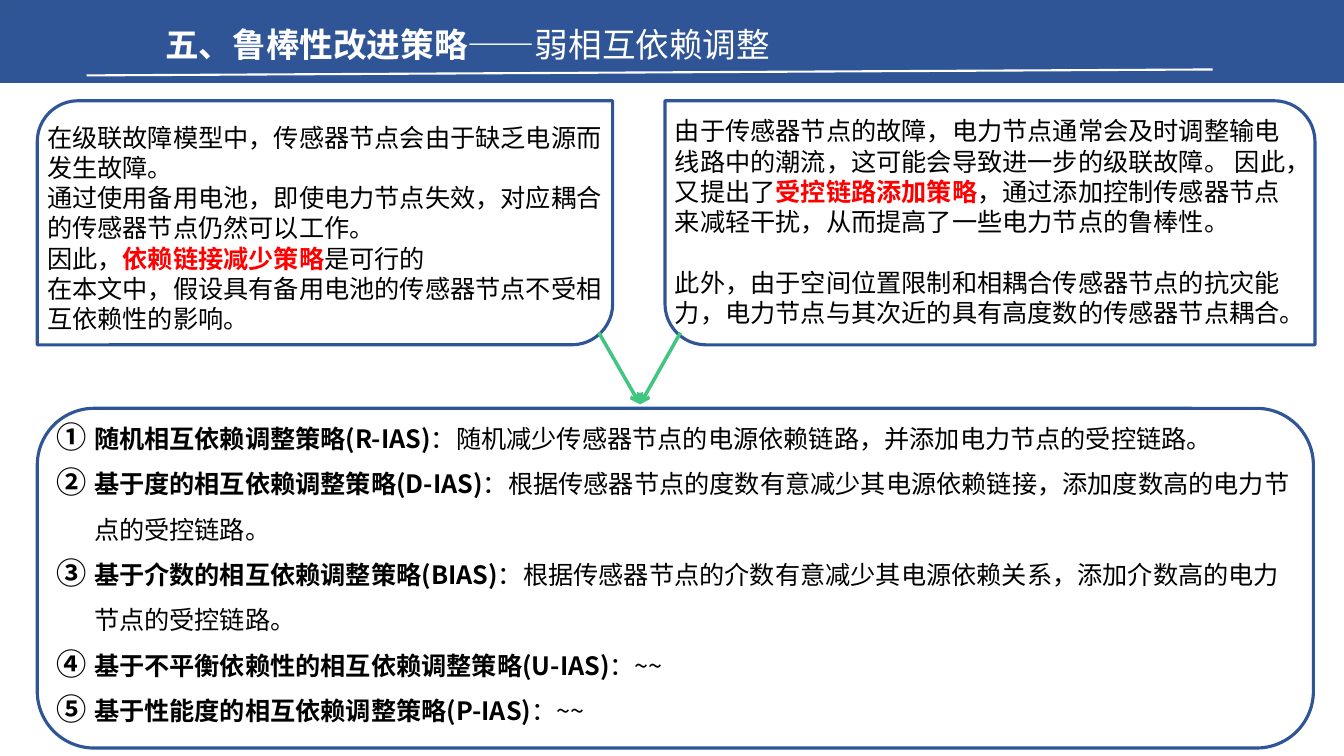
from lxml import etree
from pptx import Presentation
from pptx.dml.color import RGBColor
from pptx.enum.shapes import MSO_CONNECTOR, MSO_SHAPE
from pptx.enum.text import MSO_ANCHOR, PP_ALIGN
from pptx.oxml.ns import qn
from pptx.util import Cm, Pt

STRAIGHT = MSO_CONNECTOR.STRAIGHT
RECTANGLE = MSO_SHAPE.RECTANGLE
DIAGONAL = MSO_SHAPE.ROUND_2_DIAG_RECTANGLE
ROUNDED = MSO_SHAPE.ROUNDED_RECTANGLE
TOP = MSO_ANCHOR.TOP
LEFT = PP_ALIGN.LEFT

FONT = "Noto Sans CJK SC"
COLORS = {"navy": "2F5597", "edge": "325491", "white": "FFFFFF",
          "black": "000000", "red": "FF0000", "green": "40C680"}
PAGE_WIDTH, PAGE_HEIGHT = 33.87, 19.05

TITLE = [[("五、鲁棒性改进策略", "bold"), ("——弱相互依赖调整", "plain")]]
BATTERY = [
    [("在级联故障模型中，传感器节点会由于缺乏电源而发生故障。", "plain")],
    [("通过使用备用电池，即使电力节点失效，对应耦合的传感器节点仍然可以工作。", "plain")],
    [("因此，", "plain"), ("依赖链接减少策略", "key"), ("是可行的", "plain")],
    [("在本文中，假设具有备用电池的传感器节点不受相互依赖性的影响。", "plain")],
]
CONTROL = [
    [("由于传感器节点的故障，电力节点通常会及时调整输电线路中的潮流，这可能会导致进一步的级联故障。 因此，又提出了", "plain"),
     ("受控链路添加策略", "key"),
     ("，通过添加控制传感器节点来减轻干扰，从而提高了一些电力节点的鲁棒性。", "plain")],
    [("此外，由于空间位置限制和相耦合传感器节点的抗灾能力，电力节点与其次近的具有高度数的传感器节点耦合。", "plain")],
]
STRATEGIES = [
    ("随机相互依赖调整策略(R-IAS)", "：随机减少传感器节点的电源依赖链路，并添加电力节点的受控链路。"),
    ("基于度的相互依赖调整策略(D-IAS)", "：根据传感器节点的度数有意减少其电源依赖链接，添加度数高的电力节点的受控链路。"),
    ("基于介数的相互依赖调整策略(BIAS)", "：根据传感器节点的介数有意减少其电源依赖关系，添加介数高的电力节点的受控链路。"),
    ("基于不平衡依赖性的相互依赖调整策略(U-IAS)", "：~~"),
    ("基于性能度的相互依赖调整策略(P-IAS)", "：~~"),
]
STRATEGY_LINES = [[(name, "bold"), (detail, "plain")] for name, detail in STRATEGIES]

TEXTS = [
    ((0.94, 2.95, 14.78, 5.64), BATTERY, 0, False),
    ((16.76, 2.79, 15.9, 5.64), CONTROL, 21.6, False),
    ((1.17, 10.16, 31.93, 8.33), STRATEGY_LINES, 0, True),
]
PANELS = [
    (DIAGONAL, (0.94, 2.54, 14.5, 6.15), (0.167, 0)),
    (DIAGONAL, (16.76, 2.54, 16.38, 6.15), (0, 0.167)),
    (ROUNDED, (0.94, 10.29, 32.16, 8.56), (0.167,)),
]
ARROW_TIP = (16.13, 10.19)
ARROW_STARTS = [(15.09, 8.38), (17.15, 8.38)]


def rgb(name):
    return RGBColor.from_string(COLORS[name])


def number_paragraph(para):
    para.line_spacing = 1.5
    props = para._p.get_or_add_pPr()
    props.set("marL", str(Cm(0.95)))
    props.set("indent", str(-Cm(0.95)))
    etree.SubElement(props, qn("a:buSzPct"), val="120000")
    etree.SubElement(props, qn("a:buAutoNum"), type="circleNumDbPlain")


def write(frame, lines, size, color, gap=0, numbered=False):
    frame.word_wrap = True
    frame.vertical_anchor = TOP
    for index, line in enumerate(lines):
        para = frame.add_paragraph() if index else frame.paragraphs[0]
        para.alignment = LEFT
        if index and gap:
            para.space_before = Pt(gap)
        if numbered:
            number_paragraph(para)
        font = para.font
        font.size = Pt(size)
        font.color.rgb = rgb(color)
        font.name = FONT
        etree.SubElement(font._rPr, qn("a:ea"), typeface=FONT)
        for text, style in line:
            span = para.add_run()
            span.text = text
            span.font.bold = style != "plain"
            if style == "key":
                span.font.color.rgb = rgb("red")


def add_panel(page, kind, place, edge, width, fill=None):
    panel = page.shapes.add_shape(kind, *map(Cm, place))
    panel.shadow.inherit = False
    if fill:
        panel.fill.solid()
        panel.fill.fore_color.rgb = rgb(fill)
    else:
        panel.fill.background()
    panel.line.color.rgb = rgb(edge)
    panel.line.width = Pt(width)
    return panel


def add_line(page, start, end, color, width, arrow=False):
    line = page.shapes.add_connector(STRAIGHT, *map(Cm, start + end))
    line.line.color.rgb = rgb(color)
    line.line.width = Pt(width)
    if arrow:
        etree.SubElement(line.line._get_or_add_ln(), qn("a:tailEnd"), type="arrow")
    etree.SubElement(line._element.spPr, qn("a:effectLst"))


def main():
    deck = Presentation()
    deck.slide_width, deck.slide_height = Cm(PAGE_WIDTH), Cm(PAGE_HEIGHT)
    page = deck.slides.add_slide(deck.slide_layouts[5])

    add_panel(page, RECTANGLE, (0, 0, PAGE_WIDTH, 2.08), "edge", 1, "navy")
    title = page.shapes.title
    title.left, title.top, title.width, title.height = map(Cm, (3.91, 0.48, 21.29, 1.27))
    write(title.text_frame, TITLE, 24, "white")
    title._element.getparent().append(title._element)
    add_line(page, (2.18, 1.9), (30.56, 1.75), "white", 1.5)

    for place, lines, gap, numbered in TEXTS:
        box = page.shapes.add_textbox(*map(Cm, place))
        write(box.text_frame, lines, 18, "black", gap, numbered)
    for kind, place, corners in PANELS:
        panel = add_panel(page, kind, place, "navy", 2.25)
        for index, corner in enumerate(corners):
            panel.adjustments[index] = corner
    for start in ARROW_STARTS:
        add_line(page, start, ARROW_TIP, "green", 2.5, arrow=True)

    deck.save("out.pptx")


if __name__ == "__main__":
    main()
